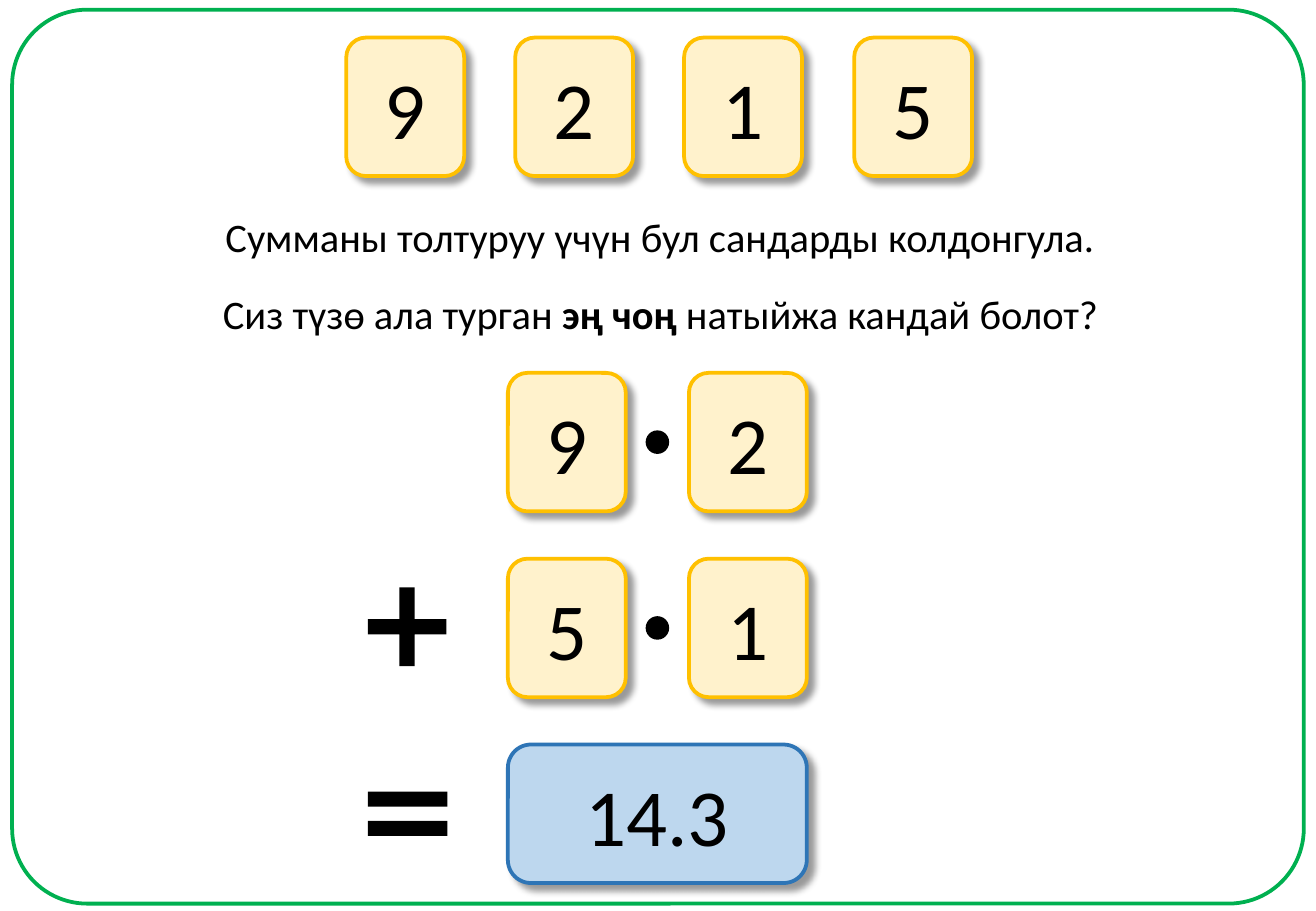
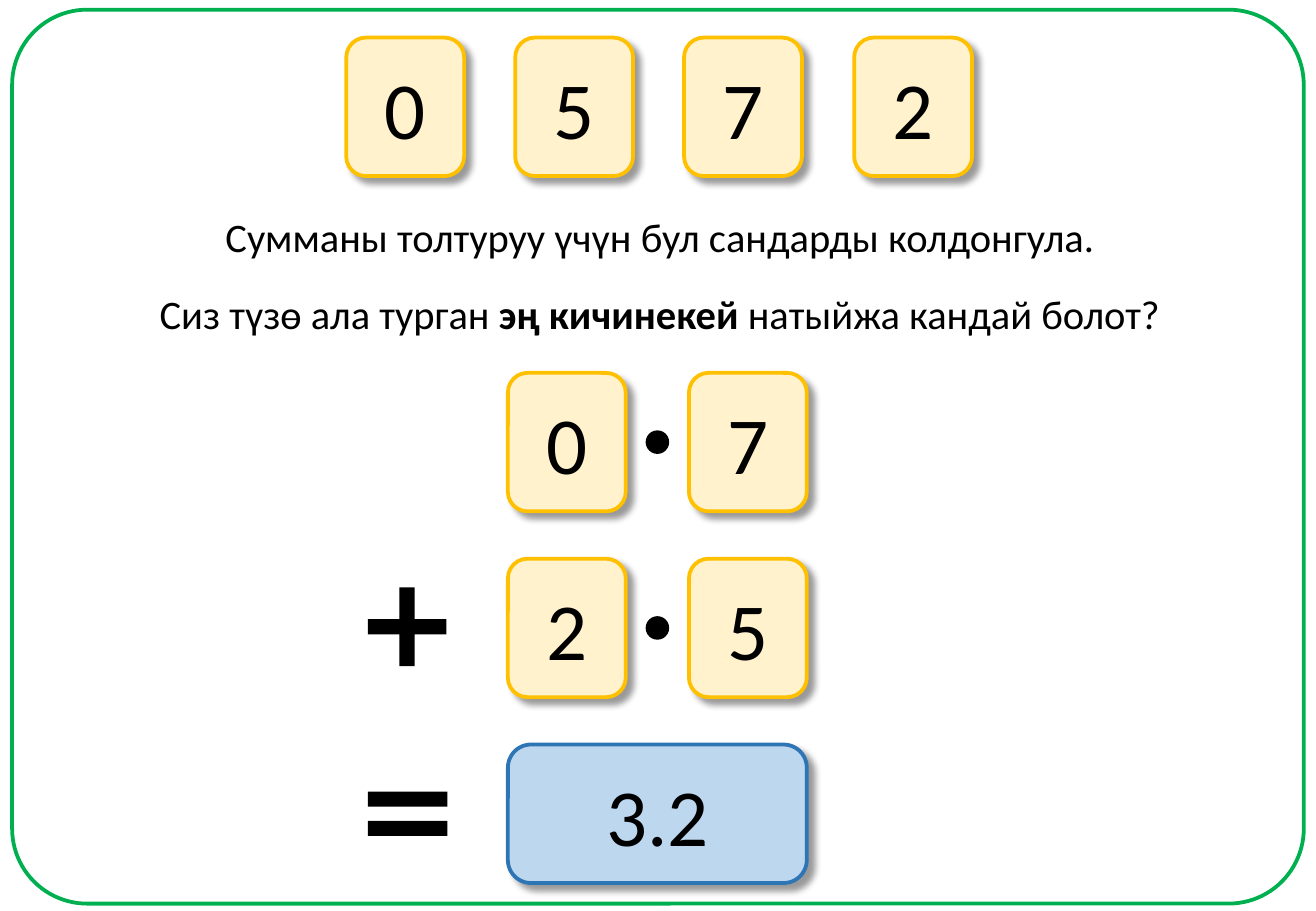
import pptx
import pptx.util
import pptx.dml.color
import pptx.enum.shapes
import pptx.enum.text
import pptx.oxml

PX = 9144
BLACK = pptx.dml.color.RGBColor(0x00, 0x00, 0x00)
GREEN = pptx.dml.color.RGBColor(0x00, 0xB0, 0x50)
CREAM = pptx.dml.color.RGBColor(0xFF, 0xF2, 0xCC)
GOLD = pptx.dml.color.RGBColor(0xFF, 0xC0, 0x00)
PALE_BLUE = pptx.dml.color.RGBColor(0xBD, 0xD7, 0xEE)
BLUE = pptx.dml.color.RGBColor(0x2E, 0x75, 0xB6)

SHAPES = pptx.enum.shapes.MSO_SHAPE
CENTER = pptx.enum.text.PP_ALIGN.CENTER
MIDDLE_X = 543
CARD_W, CARD_H = 97, 114
SUM_LEFTS = (418, 567)
SUM_TOP, ROW_PITCH = 307, 153
SHADOW = (
    '<a:outerShdw xmlns:a="http://schemas.openxmlformats.org/drawingml/2006/main" '
    'blurRad="50800" dist="63500" dir="2700000" algn="tl" rotWithShape="0">'
    '<a:srgbClr val="000000"><a:alpha val="40000"/></a:srgbClr></a:outerShdw>'
)

INSTRUCTION = "Cумманы толтуруу үчүн бул сандарды колдонгула."
TASKS = [
    ("9215", "эң чоң ", 745, ("92", "51"), "14.3"),
    ("0572", "эң кичинекей ", 846, ("07", "25"), "3.2"),
]


def add_figure(slide, kind, box, fill=None, line=None, line_width=2.25):
    figure = slide.shapes.add_shape(kind, *(n * PX for n in box))
    figure.shadow.inherit = False
    if fill is None:
        figure.fill.background()
    else:
        figure.fill.solid()
        figure.fill.fore_color.rgb = fill
    if line is None:
        figure.line.fill.background()
    else:
        figure.line.color.rgb = line
        figure.line.width = pptx.util.Pt(line_width)
    return figure


def add_card(slide, number, left, top, width=CARD_W, fill=CREAM, line=GOLD):
    card = add_figure(slide, SHAPES.ROUNDED_RECTANGLE, (left, top, width, CARD_H), fill, line)
    effects = card._element.spPr.find(pptx.oxml.ns.qn("a:effectLst"))
    effects.append(pptx.oxml.parse_xml(SHADOW))
    card.text_frame.vertical_anchor = pptx.enum.text.MSO_ANCHOR.MIDDLE
    digits = card.text_frame.paragraphs[0]
    digits.text = number
    digits.alignment = CENTER
    digits.font.name = "Calibri"
    digits.font.size = pptx.util.Pt(48)
    digits.font.color.rgb = BLACK


prs = pptx.Presentation()
prs.slide_width, prs.slide_height = 1083 * PX, 750 * PX

for numbers, extreme, question_width, products, answer in TASKS:
    slide = prs.slides.add_slide(prs.slide_layouts[6])
    frame = add_figure(slide, SHAPES.ROUNDED_RECTANGLE, (10, 8, 1063, 736), line=GREEN)
    frame.adjustments[0] = 0.084

    question = [("Сиз түзө ала турган ", False), (extreme, True), ("натыйжа кандай болот?", False)]
    for top, width, pieces in ((170, 742, [(INSTRUCTION, False)]), (233, question_width, question)):
        sentence = slide.shapes.add_textbox((MIDDLE_X - width // 2) * PX, top * PX, width * PX, 50 * PX)
        sentence.text_frame.word_wrap = False
        sentence.text_frame.auto_size = pptx.enum.text.MSO_AUTO_SIZE.SHAPE_TO_FIT_TEXT
        wording = sentence.text_frame.paragraphs[0]
        wording.alignment = CENTER
        wording.font.name = "Calibri"
        wording.font.size = pptx.util.Pt(24)
        wording.font.color.rgb = BLACK
        for piece, bold in pieces:
            run = wording.add_run()
            run.text = piece
            run.font.bold = bold

    for i, number in enumerate(numbers):
        add_card(slide, number, 285 + 418 * i // 3, 31)

    for row, factors in enumerate(products):
        top = SUM_TOP + row * ROW_PITCH
        for left, factor in zip(SUM_LEFTS, factors):
            add_card(slide, factor, left, top)
        add_figure(slide, SHAPES.OVAL, (532, top + 48, 18, 18), BLACK, BLACK, 1)

    plus = add_figure(slide, SHAPES.MATH_PLUS, (291, 472, 88, 88), BLACK)
    plus.adjustments[0] = 0.144
    equals = add_figure(slide, SHAPES.MATH_EQUAL, (291, 620, 89, 100), BLACK)
    equals.adjustments[0] = 0.123
    equals.adjustments[1] = 0.118
    add_card(slide, answer, SUM_LEFTS[0], SUM_TOP + 2 * ROW_PITCH, 246, PALE_BLUE, BLUE)

prs.save("out.pptx")
